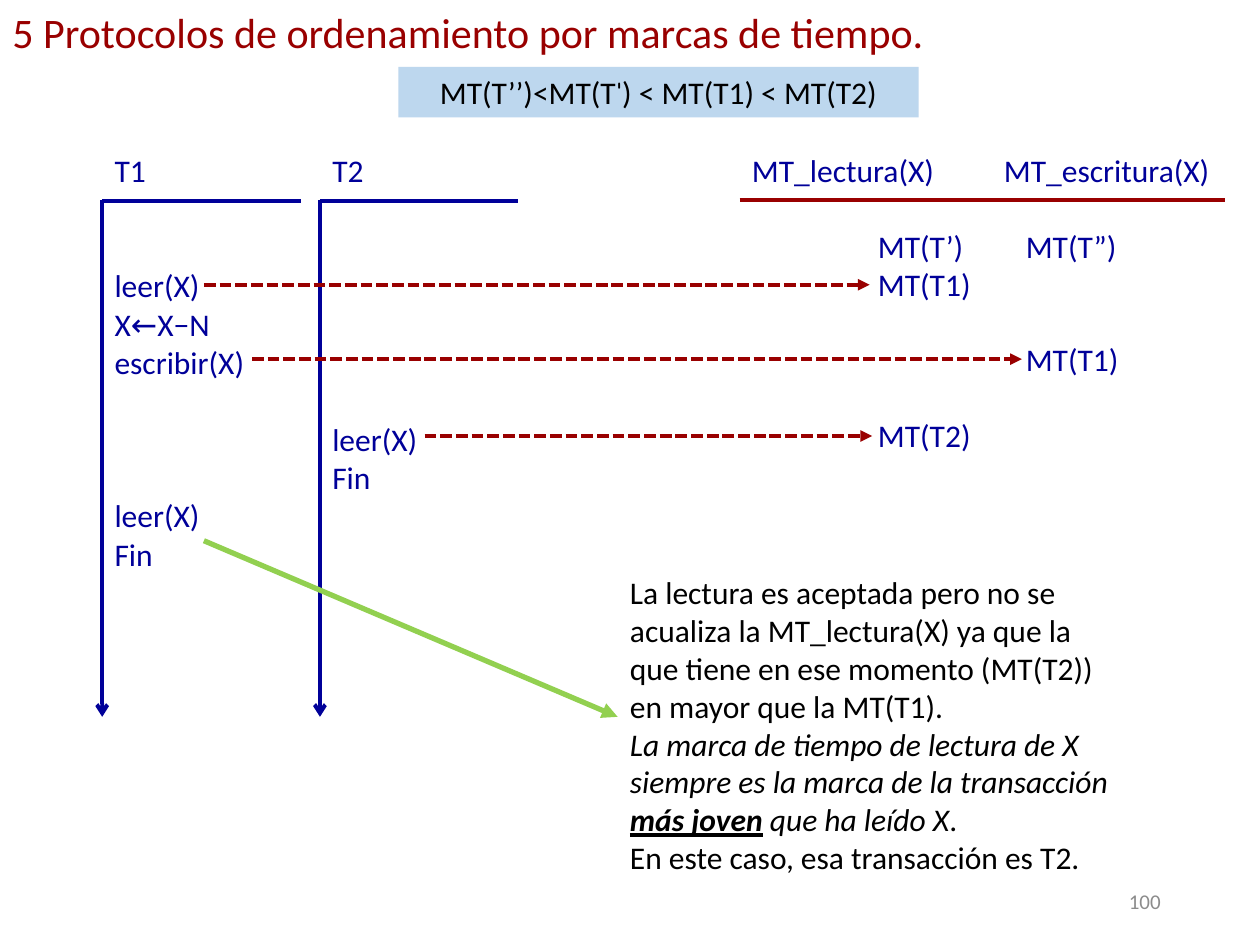
import lxml.etree
import pptx
import pptx.dml.color
import pptx.enum.dml
import pptx.enum.shapes
import pptx.enum.text
import pptx.oxml.ns
import pptx.util

Cm = pptx.util.Cm
Pt = pptx.util.Pt
RGBColor = pptx.dml.color.RGBColor
Align = pptx.enum.text.PP_ALIGN
Anchor = pptx.enum.text.MSO_ANCHOR
qn = pptx.oxml.ns.qn

RED = RGBColor(0x99, 0x00, 0x00)
BLUE = RGBColor(0x00, 0x00, 0x99)
GREEN = RGBColor(0x92, 0xD0, 0x50)
PALE_BLUE = RGBColor(0xBD, 0xD7, 0xEE)
WHITE = RGBColor(0xFF, 0xFF, 0xFF)
BLACK = RGBColor(0x00, 0x00, 0x00)
GREY = RGBColor(0x8C, 0x8C, 0x8C)
BODY_FONT, SYMBOL_FONT = "Calibri", "Comic Neue"
LINE_PITCH = 21.6  # points taken by one 18 pt line


def add_span(para, text, color, size=18, font=BODY_FONT):
    span = para.add_run()
    span.text = text
    span.font.name = font
    span.font.size = Pt(size)
    span.font.color.rgb = color
    return span


def set_up_frame(frame, side=0.25, wrap=True):
    frame.word_wrap = wrap
    frame.auto_size = pptx.enum.text.MSO_AUTO_SIZE.NONE
    frame.vertical_anchor = Anchor.TOP
    frame.margin_left = frame.margin_right = Cm(side)
    frame.margin_top = frame.margin_bottom = Cm(0.13)
    return frame


def add_text_box(page, box, side=0.25):
    shape = page.shapes.add_textbox(*map(Cm, box))
    set_up_frame(shape.text_frame, side)
    return shape


def next_para(frame, first):
    return frame.paragraphs[0] if first else frame.add_paragraph()


def add_line(page, start, end, color, width=2.25, head=None, dashed=False):
    line = page.shapes.add_connector(
        pptx.enum.shapes.MSO_CONNECTOR.STRAIGHT, *map(Cm, start + end))
    line.line.color.rgb = color
    line.line.width = Pt(width)
    if dashed:
        line.line.dash_style = pptx.enum.dml.MSO_LINE.SQUARE_DOT
    properties = line._element.spPr
    if head:
        outline = properties.find(qn("a:ln"))
        lxml.etree.SubElement(outline, qn("a:tailEnd"), type=head)
    lxml.etree.SubElement(properties, qn("a:effectLst"))


def add_title(page, box, text):
    title = page.shapes.title
    title.left, title.top, title.width, title.height = map(Cm, box)
    frame = set_up_frame(title.text_frame, wrap=False)
    para = frame.paragraphs[0]
    para.alignment = Align.LEFT
    para.line_spacing = 1.0
    para.space_before = Pt(0)
    add_span(para, text, RED, 24)


def add_banner(page, box):
    banner = page.shapes.add_shape(
        pptx.enum.shapes.MSO_SHAPE.RECTANGLE, *map(Cm, box))
    banner.shadow.inherit = False
    banner.fill.solid()
    banner.fill.fore_color.rgb = PALE_BLUE
    banner.line.fill.background()
    para = set_up_frame(banner.text_frame).paragraphs[0]
    para.alignment = Align.CENTER
    add_span(para, "MT(T’’)<MT(T", BLACK)
    add_span(para, "'", BLACK, font=SYMBOL_FONT)
    add_span(para, ") < MT(T1) < MT(T2)", BLACK)


def add_timeline(page, box, steps):
    """Draw a transaction axis; steps are (row, spans) with the name in row 0."""
    left, top, width, height = box
    axis_top = top + 1.12
    add_line(page, (left, axis_top), (left, top + 11.53), BLUE, head="arrow")
    add_line(page, (left, axis_top + 0.02), (left + 4, axis_top + 0.02), BLUE)
    shape = add_text_box(page, (left + 0.25, top, width, height), side=0)
    previous = 0
    for row, spans in steps:
        para = next_para(shape.text_frame, row == 0)
        if row:
            para.space_before = Pt((row - previous - 1) * (LINE_PITCH + 0.3) + 0.3)
        for text in spans:
            add_span(para, text, BLUE, font=SYMBOL_FONT if text == "←" else BODY_FONT)
        previous = row


def add_timestamps(page, box, rows):
    """Write the timestamp columns; rows are (row, tab stops, text)."""
    left, top, width, height = box
    shape = add_text_box(page, box)
    shape.fill.solid()
    shape.fill.fore_color.rgb = WHITE
    previous = 0
    for row, stops, text in rows:
        para = next_para(shape.text_frame, row == 0)
        tabs = lxml.etree.SubElement(para._p.get_or_add_pPr(), qn("a:tabLst"))
        for stop in stops:
            lxml.etree.SubElement(tabs, qn("a:tab"), pos=str(int(Cm(stop))), algn="l")
        if row:
            para.space_before = Pt((row - previous - 1) * LINE_PITCH)
        add_span(para, text, BLUE)
        previous = row
    add_line(page, (left, top + 1.12), (left + 9.78, top + 1.12), RED)


def add_note(page, box, paragraphs):
    """Write the comment; each span is (text, style letters)."""
    frame = add_text_box(page, box).text_frame
    for index, spans in enumerate(paragraphs):
        para = next_para(frame, index == 0)
        for text, style in spans:
            font = add_span(para, text, BLACK).font
            font.italic = "i" in style
            font.bold = "b" in style
            font.underline = "u" in style


def add_page_number(page, box, text):
    frame = add_text_box(page, box).text_frame
    frame.vertical_anchor = Anchor.MIDDLE
    frame.paragraphs[0].alignment = Align.RIGHT
    add_span(frame.paragraphs[0], text, GREY, 12)


def main():
    deck = pptx.Presentation()
    deck.slide_width, deck.slide_height = Cm(25.4), Cm(19.05)
    page = deck.slides.add_slide(deck.slide_layouts[5])

    # Heading
    add_title(page, (0, 0, 19.76, 1.27),
              "5 Protocolos de ordenamiento por marcas de tiempo.")
    add_banner(page, (8.03, 1.35, 10.49, 1.02))

    # Timestamps of X
    header_stops, row_stops = (5.08,), (2.54, 5.52)
    add_timestamps(page, (14.91, 2.92, 10.21, 7.95), [
        (0, header_stops, "MT_lectura(X)\tMT_escritura(X)"),
        (2, row_stops, "\tMT(T’)\tMT(T”)"),
        (3, row_stops, "\tMT(T1)"),
        (5, row_stops, "\t\tMT(T1)"),
        (7, row_stops, "\tMT(T2)"),
    ])

    # Transactions
    add_timeline(page, (6.45, 2.92, 3.4, 7.19), [
        (0, ["T2"]), (7, ["leer(X)"]), (8, ["Fin"])])
    add_timeline(page, (2.06, 2.92, 3.43, 8.71), [
        (0, ["T1"]), (3, ["leer(X)"]), (4, ["X", "←", "X−N"]),
        (5, ["escribir(X)"]), (9, ["leer(X)"]), (10, ["Fin"])])

    # Operations and the timestamps they update
    for start, end, height in [(4.11, 17.53, 5.74), (5.08, 20.6, 7.24),
                               (8.56, 17.58, 8.79)]:
        add_line(page, (start, height), (end, height), RED,
                 head="triangle", dashed=True)

    # Comment on the last read
    add_note(page, (12.45, 11.43, 10.21, 6.4), [
        [("La lectura es aceptada pero no se acualiza la MT_lectura(X) ya que la "
          "que tiene en ese momento (MT(T2)) en mayor que la MT(T1).", "")],
        [("La marca de tiempo de lectura de X siempre es la marca de la "
          "transacción ", "i"), ("más joven", "ibu"),
         (" que ha leído X", "i"), (".", "")],
        [("En este caso, esa transacción es T2.", "")],
    ])
    add_line(page, (4.11, 10.9), (12.45, 14.45), GREEN, 3, head="triangle")

    add_page_number(page, (17.93, 17.65, 5.72, 1.02), "100")
    deck.save("out.pptx")


if __name__ == "__main__":
    main()
